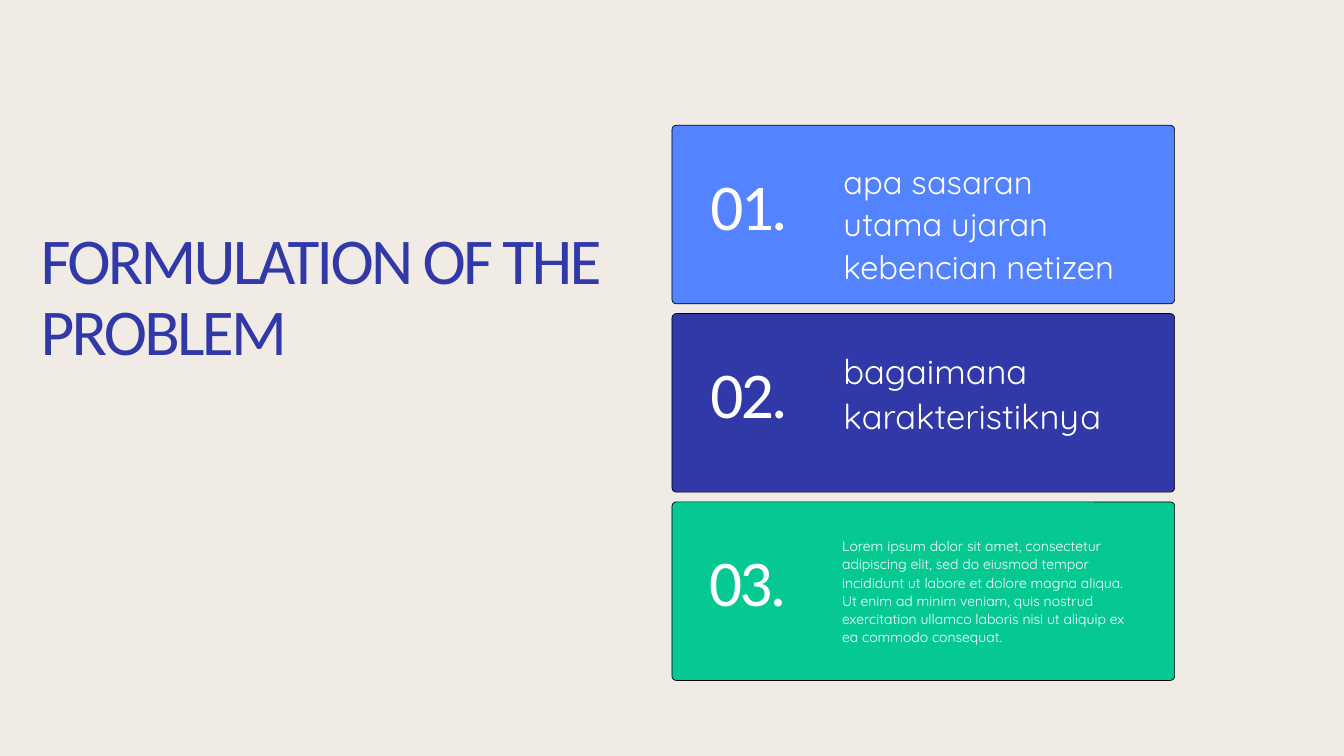
from dataclasses import dataclass

from pptx import Presentation
from pptx.dml.color import RGBColor
from pptx.enum.shapes import MSO_SHAPE
from pptx.slide import Slide
from pptx.util import Emu, Pt

CARD_LEFT, CARD_TOP = 960, 179
CARD_WIDTH, CARD_HEIGHT = 718, 255
CARD_PITCH = 269
CARD_RADIUS = 6
NUMBER_LEFT, NUMBER_TOP = 55, 67
QUESTION_LEFT = 245


@dataclass(frozen=True)
class TextStyle:
    font: str
    size: int
    leading: float
    color: str
    tracking: float = 0


@dataclass(frozen=True)
class Theme:
    background: str = "F1EBE5"
    outline: str = "000000"
    sky: str = "5383FF"
    indigo: str = "3139A8"
    green: str = "06C892"
    title: TextStyle = TextStyle("Calibri", 70, 76.3, "3139A8", -2.9)
    number: TextStyle = TextStyle("Calibri", 70, 76.3, "FFFFFF", -2.9)
    question: TextStyle = TextStyle("Quicksand", 35, 45.5, "FFFFFF")
    large_question: TextStyle = TextStyle("Quicksand", 37, 48.1, "FFFFFF")
    body: TextStyle = TextStyle("Quicksand", 15, 19.5, "FFFFFF")


THEME = Theme()


@dataclass(frozen=True)
class Card:
    number: str
    question: str
    fill: str
    style: TextStyle
    question_top: int
    question_height: int
    text_shift: int = 0


CARDS = (
    Card("01.", "apa sasaran utama ujaran kebencian netizen",
         THEME.sky, THEME.question, 47, 180),
    Card("02.", "bagaimana karakteristiknya",
         THEME.indigo, THEME.large_question, 47, 127),
    Card("03.", "Lorem ipsum dolor sit amet, consectetur adipiscing elit, sed do "
         "eiusmod tempor incididunt ut labore et dolore magna aliqua. Ut enim ad "
         "minim veniam, quis nostrud exercitation ullamco laboris nisi ut aliquip "
         "ex ea commodo consequat.",
         THEME.green, THEME.body, 49, 155, text_shift=-2),
)


def px(length: int) -> Emu:
    return Emu(length * 9525)


def add_text(slide: Slide, text: str, style: TextStyle,
             left: int, top: int, width: int, height: int) -> None:
    frame = slide.shapes.add_textbox(px(left), px(top), px(width), px(height)).text_frame
    frame.word_wrap = True
    frame.margin_left = frame.margin_right = frame.margin_top = frame.margin_bottom = 0
    frame.text = text
    paragraph = frame.paragraphs[0]
    paragraph.line_spacing = Pt(style.leading)
    run = paragraph.runs[0]
    run.font.name = style.font
    run.font.size = Pt(style.size)
    run.font.color.rgb = RGBColor.from_string(style.color)
    if style.tracking:
        run.font._element.set("spc", str(round(style.tracking * 100)))


def add_card(slide: Slide, card: Card, top: int) -> None:
    panel = slide.shapes.add_shape(MSO_SHAPE.ROUNDED_RECTANGLE, px(CARD_LEFT), px(top),
                                   px(CARD_WIDTH), px(CARD_HEIGHT))
    panel.adjustments[0] = CARD_RADIUS / CARD_HEIGHT
    panel.shadow.inherit = False
    panel.fill.solid()
    panel.fill.fore_color.rgb = RGBColor.from_string(card.fill)
    panel.line.color.rgb = RGBColor.from_string(THEME.outline)
    panel.line.width = Pt(0.75)
    text_left = CARD_LEFT + card.text_shift
    add_text(slide, card.number, THEME.number,
             text_left + NUMBER_LEFT, top + NUMBER_TOP, 150, 105)
    add_text(slide, card.question, card.style, text_left + QUESTION_LEFT,
             top + card.question_top, 422, card.question_height)


def main() -> None:
    presentation = Presentation()
    presentation.slide_width, presentation.slide_height = px(1920), px(1080)
    slide = presentation.slides.add_slide(presentation.slide_layouts[6])
    slide.background.fill.solid()
    slide.background.fill.fore_color.rgb = RGBColor.from_string(THEME.background)
    add_text(slide, "FORMULATION OF THE PROBLEM", THEME.title, 58, 323, 832, 205)
    for index, card in enumerate(CARDS):
        add_card(slide, card, CARD_TOP + index * CARD_PITCH)
    presentation.save("out.pptx")


if __name__ == "__main__":
    main()
